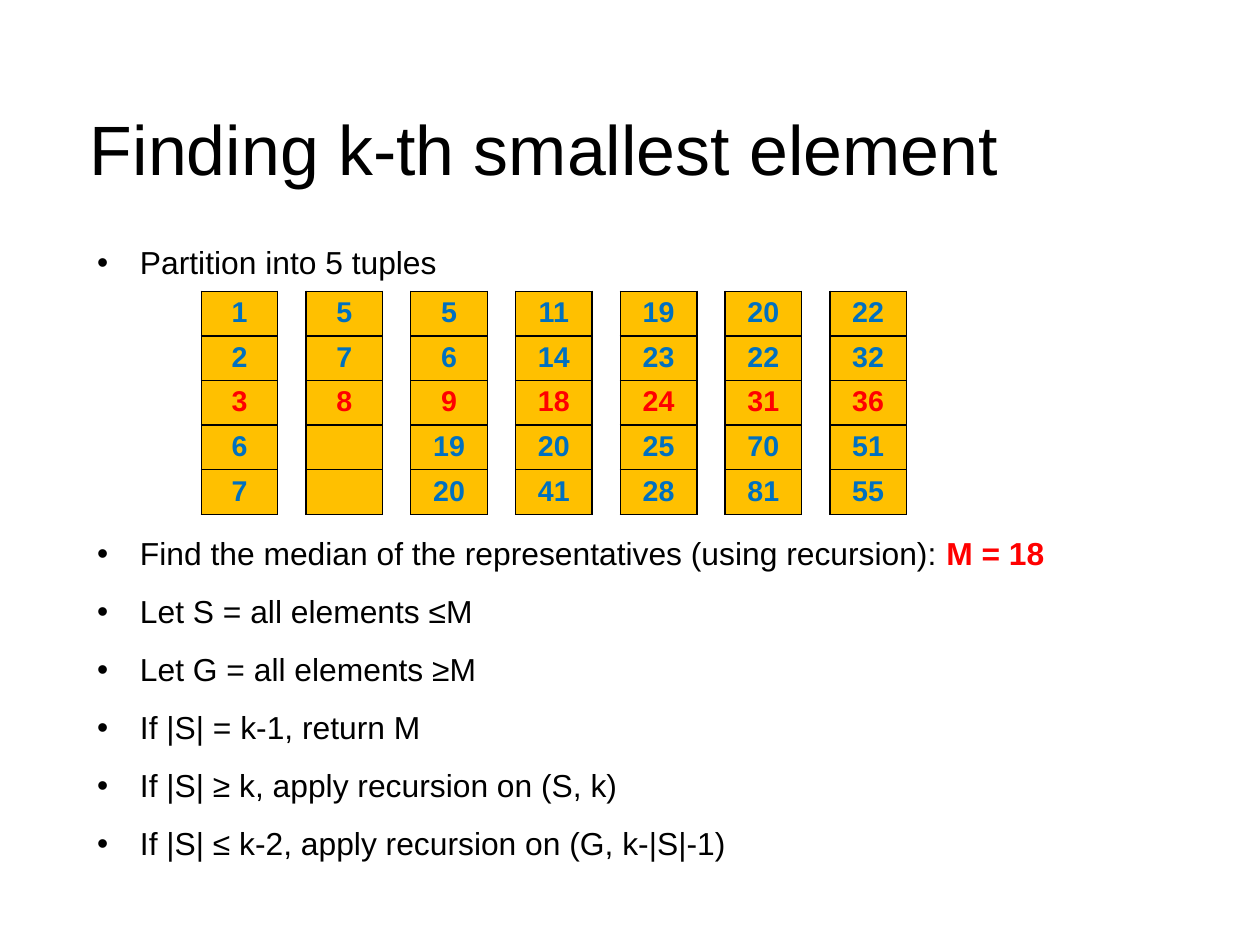
from lxml import etree
from pptx import Presentation
from pptx import util as u
from pptx.dml import color
from pptx.enum import text
from pptx.oxml import ns

BLACK, RED, BLUE, GOLD = "000000", "FF0000", "0070C0", "FFC000"


def rgb(value):
    return color.RGBColor.from_string(value)


def add_child(parent, tag, **attributes):
    return etree.SubElement(parent, ns.qn(tag), attributes)


def add_colour(parent, value):
    add_child(parent, "a:srgbClr", val=value)


def write(paragraph, words, size=20, colour=BLACK, bold=False, align="LEFT"):
    paragraph.alignment = getattr(text.PP_ALIGN, align)
    paragraph.line_spacing = 0.93
    run = paragraph.add_run()
    run.text = words
    run.font.name = "Arial"
    run.font.size = u.Pt(size)
    run.font.bold = bold
    run.font.color.rgb = rgb(colour)


class Deck:
    """Hold the style and the current slide, and add its elements in points."""

    def __init__(self, width, height):
        self.show = Presentation()
        self.show.slide_width, self.show.slide_height = u.Pt(width), u.Pt(height)
        self.slide = self.show.slides.add_slide(self.show.slide_layouts[5])

    def frame(self, shape, inset, anchor):
        frame = shape.text_frame
        frame.word_wrap = True
        frame.auto_size = text.MSO_AUTO_SIZE.NONE
        frame.vertical_anchor = anchor
        frame.margin_left = frame.margin_right = frame.margin_bottom = 0
        frame.margin_top = u.Pt(inset)
        return frame

    def title(self, words, left, top, width, height):
        title = self.slide.shapes.title
        title.left, title.top = u.Pt(left), u.Pt(top)
        title.width, title.height = u.Pt(width), u.Pt(height)
        frame = self.frame(title, 2.9, text.MSO_ANCHOR.MIDDLE)
        write(frame.paragraphs[0], words, size=44)

    def bullets(self, steps, left, top, width, height):
        box = self.slide.shapes.add_textbox(*map(u.Pt, (left, top, width, height)))
        frame = self.frame(box, 1.5, text.MSO_ANCHOR.TOP)
        for index, (step, result, space_before) in enumerate(steps):
            paragraph = frame.add_paragraph() if index else frame.paragraphs[0]
            layout = paragraph._p.get_or_add_pPr()
            layout.set("marL", str(u.Pt(31.5)))
            layout.set("indent", str(u.Pt(-27)))
            add_colour(add_child(layout, "a:buClr"), BLACK)
            add_child(layout, "a:buFont", typeface="Arial")
            add_child(layout, "a:buChar", char="•")
            paragraph.space_after = u.Pt(14.2)
            if space_before:
                paragraph.space_before = u.Pt(space_before)
            write(paragraph, step)
            if result:
                write(paragraph, result, colour=RED, bold=True)

    def borders(self, cell):
        properties = cell._tc.get_or_add_tcPr()
        for side in ("a:lnL", "a:lnR", "a:lnT", "a:lnB"):
            line = add_child(properties, side, w=str(u.Pt(1)))
            add_colour(add_child(line, "a:solidFill"), BLACK)

    def tuple_column(self, values, left, top, width, row_height, rows=5):
        table = self.slide.shapes.add_table(
            rows, 1, *map(u.Pt, (left, top, width, rows * row_height))).table
        table.first_row = table.horz_banding = False
        for index in range(rows):
            cell = table.cell(index, 0)
            self.borders(cell)
            cell.margin_top, cell.margin_bottom = u.Pt(4.8), u.Pt(1)
            cell.fill.solid()
            cell.fill.fore_color.rgb = rgb(GOLD)
            if index < len(values):
                write(cell.text_frame.paragraphs[0], str(values[index]), size=18,
                      colour=RED if index == rows // 2 else BLUE,
                      bold=True, align="CENTER")


def main():
    deck = Deck(793.75, 595.25)
    deck.title("Finding k-th smallest element", 56.7, 45.2, 666, 98.6)
    deck.bullets([
        ("Partition into 5 tuples", "", 0),
        ("Find the median of the representatives (using recursion): ", "M = 18", 146.8),
        ("Let S = all elements ≤M", "", 0),
        ("Let G = all elements ≥M", "", 0),
        ("If |S| = k-1, return M", "", 0),
        ("If |S| ≥ k, apply recursion on (S, k)", "", 0),
        ("If |S| ≤ k-2, apply recursion on (G, k-|S|-1)", "", 0),
    ], 56.7, 153.4, 697, 378.7)
    tuples = [
        (1, 2, 3, 6, 7),
        (5, 7, 8),
        (5, 6, 9, 19, 20),
        (11, 14, 18, 20, 41),
        (19, 23, 24, 25, 28),
        (20, 22, 31, 70, 81),
        (22, 32, 36, 51, 55),
    ]
    for index, values in enumerate(tuples):
        deck.tuple_column(values, 126.8 + 66 * index, 183.5, 48.2, 28.1)
    deck.show.save("out.pptx")


if __name__ == "__main__":
    main()
